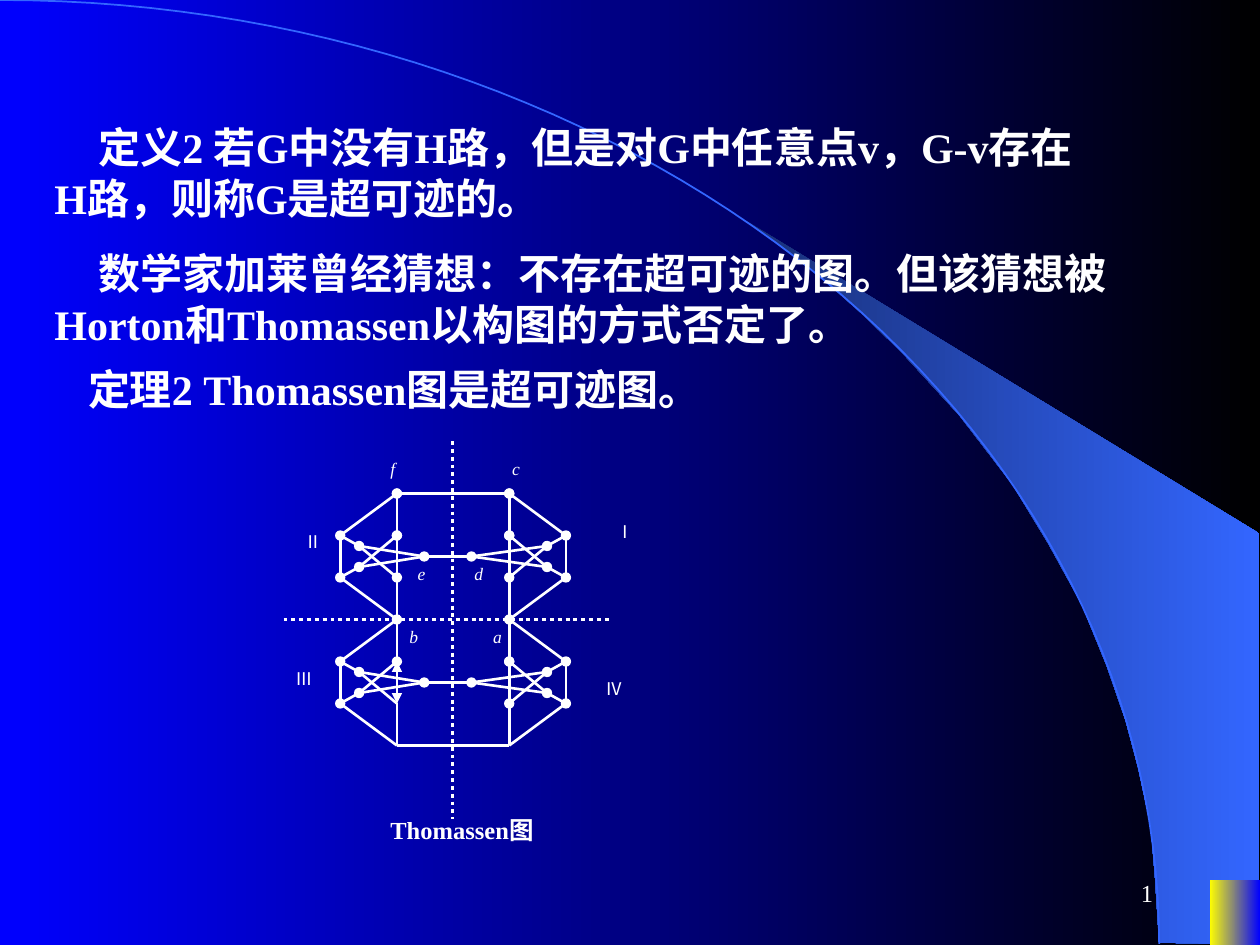
import math
from pptx import Presentation
from pptx import util as u
from pptx.dml.color import RGBColor
from pptx.enum import dml, shapes, text
from pptx.oxml import parse_xml
from pptx.oxml.ns import nsdecls, qn
from lxml import etree

WHITE = RGBColor(0xFF, 0xFF, 0xFF)
BLACK = RGBColor(0, 0, 0)
BLUE = RGBColor(0, 0, 0xFF)
YELLOW = RGBColor(0xFF, 0xFF, 0)
NAVY = RGBColor(0x18, 0x2F, 0x76)
SKY = RGBColor(0x33, 0x66, 0xFF)
SERIF = "Times New Roman"
SANS = "Noto Sans CJK SC"

deck = Presentation()
deck.slide_width, deck.slide_height = u.Inches(10), u.Inches(7.5)
cell = deck.slide_width // 120
page = deck.slides.add_slide(deck.slide_layouts[6])


def add_text(words, left, top, width, height, size=10, font=SERIF, bold=False, italic=False,
             align=text.PP_ALIGN.LEFT, anchor=text.MSO_ANCHOR.TOP, before=0, indent=0):
    box = page.shapes.add_textbox(*(round(v * cell) for v in (left, top, width, height)))
    box.text_frame.word_wrap = True
    box.text_frame.vertical_anchor = anchor
    para = box.text_frame.paragraphs[0]
    para.alignment = align
    para.space_before = u.Pt(before)
    if indent:
        para._p.get_or_add_pPr().set("indent", str(round(indent * cell)))
    span = para.add_run()
    span.text = words
    span.font.size, span.font.name = u.Pt(size), font
    span.font.bold, span.font.italic = bold, italic
    span.font.color.rgb = WHITE
    if font == SANS:
        etree.SubElement(span._r.rPr, qn("a:ea")).set("typeface", font)
    return span


def add_line(start, end, tip=None, weight=1.5, dash=None):
    line = page.shapes.add_connector(
        shapes.MSO_CONNECTOR.STRAIGHT, *(round(v * cell) for v in (*start, *end)))
    line.line.color.rgb = WHITE
    line.line.width = u.Pt(weight)
    if dash:
        line.line.dash_style = dash
    if tip:
        for end_name in ("a:headEnd", "a:tailEnd"):
            etree.SubElement(line.line._ln, qn(end_name)).set("type", tip)
    etree.SubElement(line._element.spPr, qn("a:effectLst"))


wedge_points = [(110.4, 89.8), (119.9, 89.9), (119.9, 50.8), (70.7, 20.8), (74.9, 23.9),
                (78.4, 26.6), (82.2, 30), (85.9, 33.6), (91.4, 39.6), (96.4, 46.1),
                (99.8, 51.7), (103, 57.5), (105.4, 63.4), (107.2, 68.6), (108.4, 73.1),
                (109.6, 78.7), (110, 83.5)]
arc_angles = [math.radians(90 * step / 60) for step in range(61)]
arc_points = [(110.4 * math.sin(a), 89.9 * (1 - math.cos(a))) for a in arc_angles]
outlines = []
for points, closed in ((wedge_points, True), (arc_points, False)):
    corners = [(x * cell, y * cell) for x, y in points]
    builder = page.shapes.build_freeform(*corners[0])
    builder.add_line_segments(corners[1:], close=closed)
    outline = builder.convert_to_shape()
    outline.shadow.inherit = False
    outlines.append(outline)
wedge, arc = outlines
wedge.line.fill.background()
arc.fill.background()
arc.line.color.rgb = SKY
arc.line.width = u.Pt(1)

corner = page.shapes.add_shape(shapes.MSO_SHAPE.RECTANGLE, *(
    round(v * cell) for v in (115.2, 83.8, 4.8, 6.2)))
corner.shadow.inherit = False
corner.line.fill.background()

for fill, first, last in ((page.background.fill, BLUE, BLACK),
                          (wedge.fill, NAVY, SKY), (corner.fill, YELLOW, BLUE)):
    fill.gradient()
    fill.gradient_angle = 0
    for stop, place, colour in zip(fill.gradient_stops, (0, 1), (first, last)):
        stop.position = place
        stop.color.rgb = colour

number = add_text("8", 86, 82, 25, 6, size=14, align=text.PP_ALIGN.RIGHT,
                  anchor=text.MSO_ANCHOR.MIDDLE)
field = parse_xml('<a:fld %s id="{B6F15528-21DE-4FAA-801E-634DDDAF4B2B}" type="slidenum"/>'
                  % nsdecls("a"))
number._r.addprevious(field)
field.extend(list(number._r))
field.getparent().remove(number._r)

for words, left, top, width, height in (
        ("定义2 若G中没有H路，但是对G中任意点v，G-v存在H路，则称G是超可迹的。", 4, 11, 101, 11.6),
        ("数学家加莱曾经猜想：不存在超可迹的图。但该猜想被Horton和Thomassen以构图的方式否定了。",
         4, 23, 106, 11.6),
        ("定理2 Thomassen图是超可迹图。", 3, 34, 106, 6.8)):
    add_text(words, left, top, width, height, size=24, bold=True, before=15, indent=4.2)

for letter, left, top in (("a", 45.8, 59), ("b", 37.8, 59), ("d", 44, 53),
                          ("e", 38.6, 53), ("f", 36, 43), ("c", 47.6, 43)):
    add_text(letter, left, top, 3.6, 3.5, italic=True)
for numeral, left, top, width in (("Ⅰ", 57.5, 49, 3.6), ("Ⅱ", 27.8, 50, 4.2),
                                  ("Ⅲ", 27, 63, 3.6), ("Ⅳ", 56.5, 64, 4.8)):
    add_text(numeral, left, top, width, 3.5, font=SANS)
add_text("Thomassen图", 36, 77, 18.8, 3.5, size=14, bold=True)

dotted = dml.MSO_LINE.ROUND_DOT
add_line((43.1, 42), (43.1, 78), weight=2.25, dash=dotted)
add_line((27, 59), (58.3, 59), weight=2.25, dash=dotted)

sides = {"left": dict(spine=37.8, rim=32.4, mid=34.2, hub=40.4),
         "right": dict(spine=48.5, rim=53.9, mid=52.1, hub=44.9)}
edges = [("spine", 0, "rim", 4, None), ("rim", 4, "rim", 8, None), ("rim", 8, "spine", 12, None),
         ("spine", 0, "spine", 4, "oval"), ("spine", 4, "spine", 8, "oval"),
         ("spine", 8, "spine", 12, None), ("rim", 4, "mid", 5, "oval"),
         ("rim", 8, "mid", 7, "oval"), ("spine", 4, "mid", 7, None),
         ("mid", 5, "spine", 8, None), ("mid", 5, "hub", 6, None), ("mid", 7, "hub", 6, None)]
for top in (47, 59):
    for side, column in sides.items():
        for start, start_row, end, end_row, tip in edges:
            if (top, side, start, start_row, end) == (59, "left", "spine", 4, "spine"):
                tip = "triangle"
            add_line((column[start], top + start_row), (column[end], top + end_row), tip)
for point, row, tip in (("spine", 47, "oval"), ("hub", 53, "oval"),
                        ("hub", 65, "oval"), ("spine", 71, None)):
    add_line((sides["left"][point], row), (sides["right"][point], row), tip)

deck.save("out.pptx")
